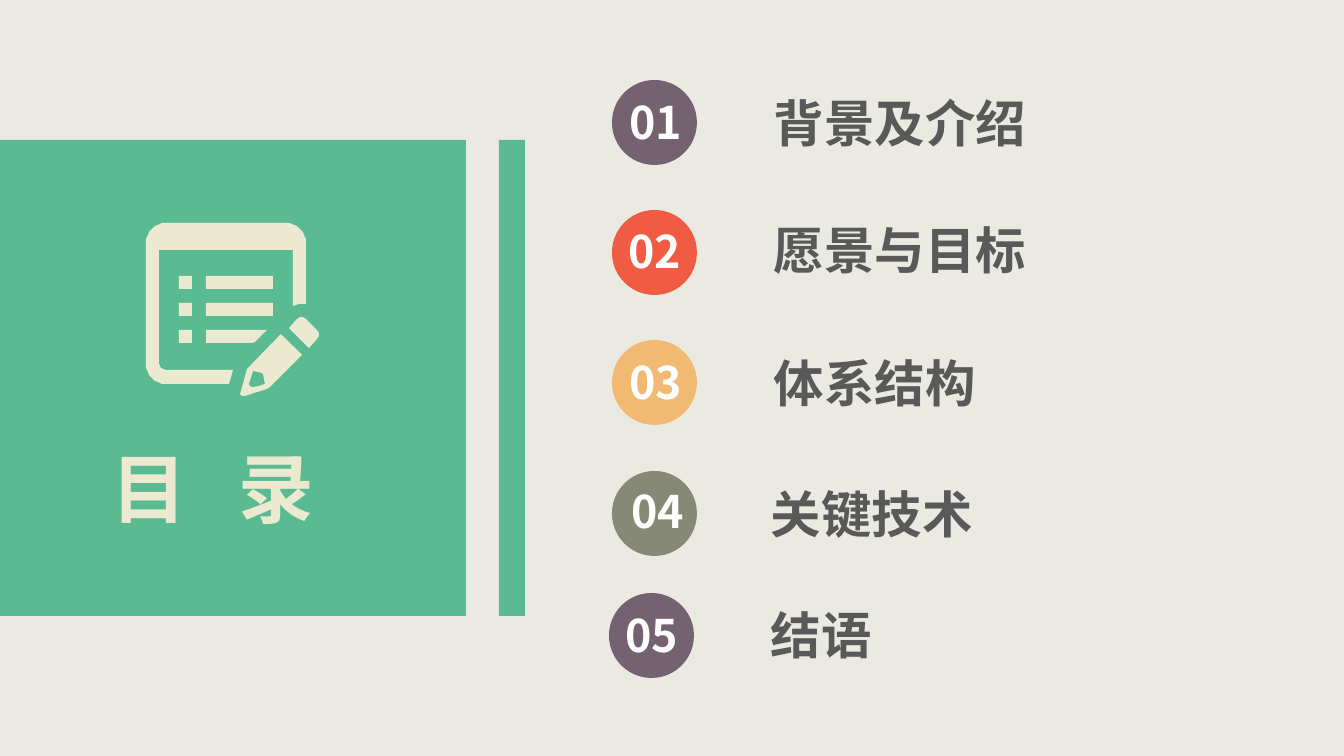
from dataclasses import dataclass
from math import cos, radians, sin

from pptx import Presentation
from pptx.dml.color import RGBColor
from pptx.enum.shapes import MSO_SHAPE
from pptx.enum.text import MSO_ANCHOR, PP_ALIGN
from pptx.oxml.ns import qn
from pptx.util import Emu, Pt

RECTANGLE, OVAL = MSO_SHAPE.RECTANGLE, MSO_SHAPE.OVAL
TOP = MSO_ANCHOR.TOP
LEFT, CENTER = PP_ALIGN.LEFT, PP_ALIGN.CENTER
SLIDE_WIDTH, SLIDE_HEIGHT = 1344, 756
EMU_PER_PX = 12192000 / SLIDE_WIDTH


@dataclass(frozen=True)
class Theme:
    font: str = "Noto Sans CJK SC"
    background: str = "EBEAE2"
    green: str = "5ABB93"
    cream: str = "EBE9D0"
    gray: str = "595959"
    white: str = "FFFFFF"
    plum: str = "756271"
    red: str = "EF5B43"
    amber: str = "F2B973"
    olive: str = "858976"
    title_size: int = 54
    label_size: int = 36
    number_size: int = 32


THEME = Theme()

# number, label, colour, circle (x, y), number box (x, y), label box (x, y, width)
AGENDA = [
    ("01", "背景及介绍", THEME.plum, (612, 80), (615, 90), (764, 87, 275)),
    ("02", "愿景与目标", THEME.red, (612, 210), (614, 219), (764, 214, 275)),
    ("03", "体系结构", THEME.amber, (612, 340), (615, 350), (764, 347, 224)),
    ("04", "关键技术", THEME.olive, (612, 471), (617, 479), (761, 478, 224)),
    ("05", "结语", THEME.plum, (609, 593), (611, 603), (761, 599, 122)),
]


def px(value):
    return Emu(round(value * EMU_PER_PX))


def paint(shape, color):
    shape.shadow.inherit = False
    shape.fill.solid()
    shape.fill.fore_color.rgb = RGBColor.from_string(color)
    shape.line.fill.background()


def add_block(slide, kind, left, top, width, height, color):
    shape = slide.shapes.add_shape(kind, px(left), px(top), px(width), px(height))
    paint(shape, color)


def add_outline(slide, color, *contours):
    """Draw one filled shape; contours after the first cut holes."""
    builder = slide.shapes.build_freeform(*contours[0][0], scale=EMU_PER_PX)
    builder.add_line_segments(contours[0][1:], close=True)
    for contour in contours[1:]:
        builder.move_to(*contour[0])
        builder.add_line_segments(contour[1:], close=True)
    paint(builder.convert_to_shape(), color)


def add_text(slide, text, left, top, width, height, size, color,
             alignment=LEFT, tab=None):
    box = slide.shapes.add_textbox(px(left), px(top), px(width), px(height))
    frame = box.text_frame
    frame.word_wrap = True
    frame.vertical_anchor = TOP
    paragraph = frame.paragraphs[0]
    paragraph.alignment = alignment
    if tab is not None:
        properties = paragraph._p.get_or_add_pPr()
        tab_list = properties.makeelement(qn("a:tabLst"), {})
        tab_list.append(properties.makeelement(
            qn("a:tab"), {"pos": str(px(tab)), "algn": "l"}))
        properties.append(tab_list)
    run = paragraph.add_run()
    run.text = text
    run.font.name = THEME.font
    run.font.size = Pt(size)
    run.font.bold = True
    run.font.color.rgb = RGBColor.from_string(color)
    east_asian = run._r.rPr.makeelement(qn("a:ea"), {"typeface": THEME.font})
    run._r.rPr.find(qn("a:latin")).addnext(east_asian)


def arc(center_x, center_y, radius, start, end, steps=8):
    """Points along a circle, angles in degrees clockwise from the right."""
    angles = [radians(start + (end - start) * i / steps) for i in range(steps + 1)]
    return [(center_x + radius * cos(a), center_y + radius * sin(a)) for a in angles]


def add_notepad_icon(slide):
    color = THEME.cream
    page = [(233, 370), (229, 384), *arc(166, 364, 20, 90, 180),
            *arc(166, 243, 20, 180, 270), *arc(286, 243, 20, 270, 360),
            (306, 304), (299, 304), (293, 306), (293, 250), (159, 250),
            *arc(167, 362, 8, 180, 90)]
    add_outline(slide, color, page)

    pencil = [(281, 334), (302, 355), (270, 387), (267, 389), (245, 396),
              (242, 396), (240, 394), (241, 391), (247, 369), (249, 367)]
    nib = [(253, 371), (249, 384), (249, 385), (251, 387), (254, 387),
           (259, 386), (265, 384), (263, 374), (262, 373)]
    add_outline(slide, color, pencil, nib)
    eraser = [(289, 328), (297, 319), (300, 317), (303, 317), (306, 319),
              (317, 330), (319, 333), (319, 336), (317, 339), (309, 348)]
    add_outline(slide, color, eraser)

    for row in range(3):
        add_block(slide, RECTANGLE, 179, 276 + 27 * row, 13, 13, color)
    for row in range(2):
        add_block(slide, RECTANGLE, 206, 276 + 27 * row, 67, 13, color)
    cut_line = [(206, 330), (267, 330), (255, 342), (252, 343), (206, 343)]
    add_outline(slide, color, cut_line)


def add_agenda_item(slide, number, label, color, circle, number_box, label_box):
    label_x, label_y, label_width = label_box
    add_block(slide, OVAL, *circle, 85, 85, color)
    add_text(slide, number, *number_box, 81, 65,
             THEME.number_size, THEME.white, CENTER)
    add_text(slide, label, label_x, label_y, label_width, 72,
             THEME.label_size, THEME.gray)


def main():
    presentation = Presentation()
    presentation.slide_width = px(SLIDE_WIDTH)
    presentation.slide_height = px(SLIDE_HEIGHT)
    slide = presentation.slides.add_slide(presentation.slide_layouts[6])
    slide.background.fill.solid()
    slide.background.fill.fore_color.rgb = RGBColor.from_string(THEME.background)

    add_block(slide, RECTANGLE, 0, 140, 466, 476, THEME.green)
    add_block(slide, RECTANGLE, 499, 140, 26, 476, THEME.green)
    add_notepad_icon(slide)
    add_text(slide, "目\t录", 102, 437, 242, 102,
             THEME.title_size, THEME.cream, tab=127)
    for item in AGENDA:
        add_agenda_item(slide, *item)
    presentation.save("out.pptx")


if __name__ == "__main__":
    main()
